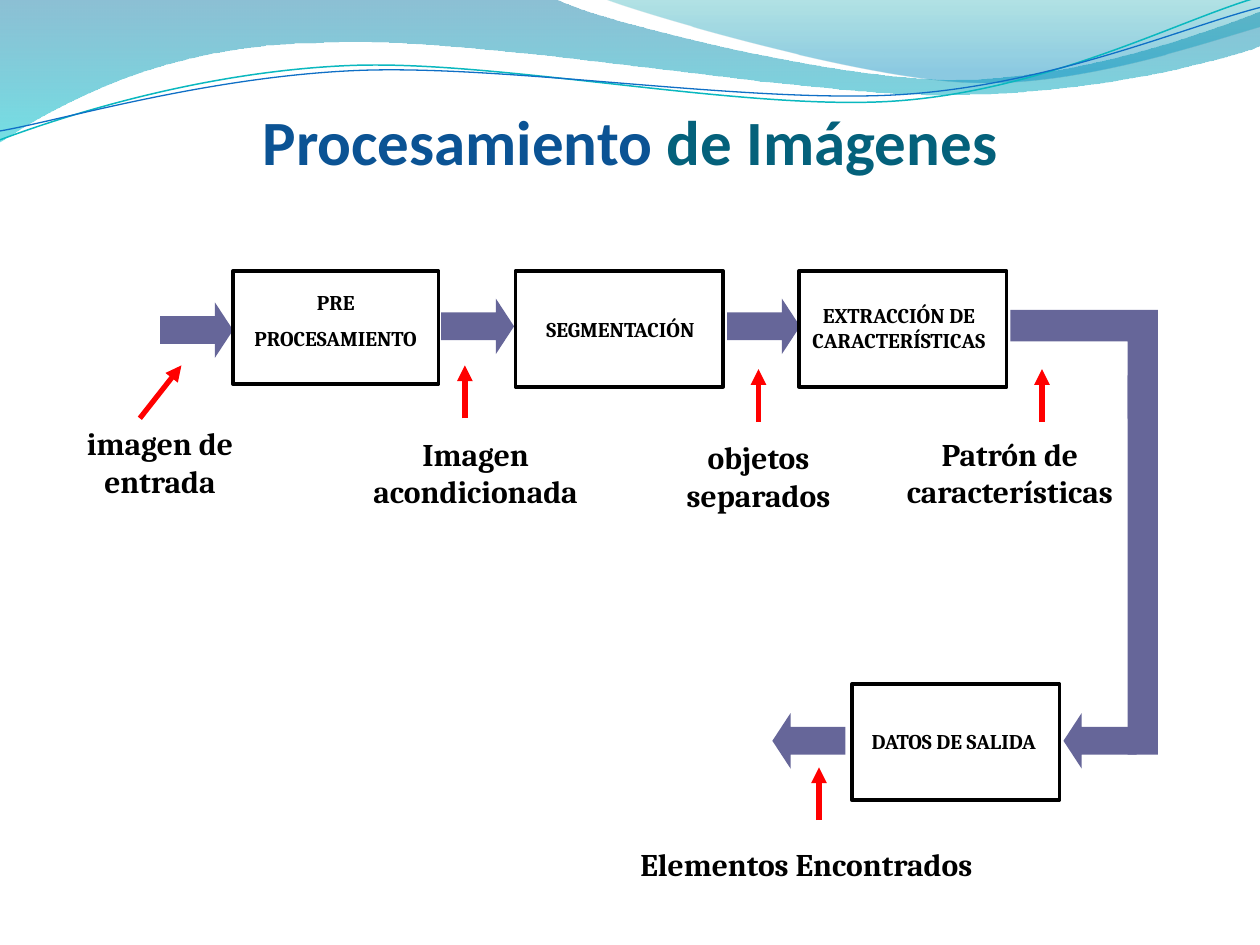
"""Build the image-processing pipeline slide."""
from dataclasses import dataclass
from math import cos, radians, sin

from lxml.etree import SubElement
from pptx import Presentation
from pptx.dml.color import RGBColor
from pptx.enum.shapes import MSO_CONNECTOR as Connector, MSO_SHAPE as Preset
from pptx.enum.text import MSO_ANCHOR as Anchor, PP_ALIGN as Align
from pptx.oxml.ns import qn
from pptx.util import Inches, Pt


@dataclass(frozen=True)
class Theme:
    title_font: str = "Calibri"
    body_font: str = "Cambria"
    title_size: int = 36
    caption_size: int = 18
    stage_size: int = 12
    title_blue: str = "0B5394"
    title_teal: str = "04617B"
    flow: str = "666699"
    pointer: str = "FF0000"
    ink: str = "000000"
    paper: str = "FFFFFF"


theme = Theme()
color = RGBColor.from_string


def add_outline(start, segments, closed):
    """Draw straight (2 numbers) and cubic (6 numbers) segments as one freeform."""
    points = [(s[i], s[i + 1]) for s in segments for i in range(0, len(s), 2)]
    builder = page.shapes.build_freeform(*map(Inches, start))
    builder.add_line_segments([tuple(map(Inches, point)) for point in points], close=closed)
    outline = builder.convert_to_shape()
    outline.shadow.inherit = False
    steps = iter(list(outline.element.iter(qn("a:lnTo"))))
    for segment in segments:
        step = next(steps)
        if len(segment) == 6:
            curve = step.makeelement(qn("a:cubicBezTo"))
            step.addprevious(curve)
            for line in (step, next(steps), next(steps)):
                curve.append(line[0])
                line.getparent().remove(line)
    return outline


def add_label(lines, place, size):
    """Place centred bold text, one paragraph per line."""
    label = page.shapes.add_textbox(*map(Inches, place))
    frame = label.text_frame
    frame.word_wrap = True
    for index, line in enumerate(lines):
        para = frame.add_paragraph() if index else frame.paragraphs[0]
        para.alignment = Align.CENTER
        if index:
            para.space_before = Pt(size / 2)
        span = para.add_run()
        span.text = line
        span.font.name = theme.body_font
        span.font.size = Pt(size)
        span.font.bold = True
        span.font.color.rgb = color(theme.ink)


deck = Presentation()
deck.slide_width, deck.slide_height = Inches(10), Inches(7.5)
page = deck.slides.add_slide(deck.slide_layouts[5])

bands = [
    ((0, -0.01),
     [(4.4, -0.01), (4.76, 0.17, 6.64, 0.63, 7.58, 0.63),
      (8.53, 0.63, 9.58, 0.26, 10, 0.09), (10.01, 0.36),
      (9.83, 0.44, 8.7, 0.76, 7.46, 0.75), (6.22, 0.75, 3.82, 0.28, 2.57, 0.34),
      (1.29, 0.35, 0.46, 0.83, -0.01, 1.13), (0, -0.01)],
     [(0, "0074A1", 45), (1, "00C6CF", 55)]),
    ((4.79, -0.01),
     [(5.09, 0.11, 6.82, 0.62, 7.69, 0.65), (8.56, 0.69, 9.61, 0.32, 10, 0.21),
      (10, 0), (4.79, -0.01)],
     [(0, "00A1A9", 30), (0.8, "008BBF", 45)]),
]
for start, segments, stops in bands:
    band = add_outline(start, segments, True)
    band.line.fill.background()
    band.fill.gradient()
    band.fill.gradient_angle = 270
    for stop, (position, tint, opacity) in zip(band.fill.gradient_stops, stops):
        stop.position = position
        stop.color.rgb = color(tint)
    tints = list(band.element.spPr.iter(qn("a:srgbClr")))
    for tint, (position, name, opacity) in zip(tints, stops):
        SubElement(tint, qn("a:alpha")).set("val", str(opacity * 1000))

tilt = 2.7
turn_cos, turn_sin = cos(radians(tilt)), sin(radians(tilt))
waves = [
    ([0, 1.11, 0.48, 0.93, 1.58, 0.57, 2.77, 0.52, 3.95, 0.47, 5.93, 0.89, 7.13, 0.8,
      8.33, 0.71, 9.38, 0.15, 9.98, -0.02], (4.99, 0.58), "0AB8BF", 0.85),
    ([0, 1.04, 0.47, 0.96, 1.64, 0.61, 2.83, 0.56, 4.03, 0.51, 5.97, 0.83, 7.17, 0.75,
      8.36, 0.67, 9.41, 0.21, 10, 0.06], (5, 0.59), "0F6FC6", 0.75),
]
for numbers, (center_x, center_y), tint, weight in waves:
    level = []
    for x, y in zip(numbers[::2], numbers[1::2]):
        across, down = x - center_x, y - center_y
        level += [center_x + across * turn_cos - down * turn_sin,
                  center_y + across * turn_sin + down * turn_cos]
    wave = add_outline(level[:2], [level[i:i + 6] for i in range(2, len(level), 6)], False)
    wave.rotation = 360 - tilt
    wave.fill.background()
    wave.line.color.rgb = color(tint)
    wave.line.width = Pt(weight)

title = page.shapes.title
page.shapes.element.append(title.element)
title.left, title.top, title.width, title.height = map(Inches, (0.5, 0.77, 9, 0.64))
frame = title.text_frame
frame.vertical_anchor = Anchor.BOTTOM
frame.margin_left = frame.margin_right = frame.margin_bottom = 0
frame.margin_top = Inches(0.05)
para = frame.paragraphs[0]
para.alignment = Align.CENTER
for words, tint in (("Procesamiento", theme.title_blue), (" de Imágenes", theme.title_teal)):
    span = para.add_run()
    span.text = words
    span.font.name = theme.title_font
    span.font.size = Pt(theme.title_size)
    span.font.bold = True
    span.font.color.rgb = color(tint)

flow_arrows = [
    (Preset.RIGHT_ARROW, 3.5, 2.37),
    (Preset.RIGHT_ARROW, 5.77, 2.37),
    (Preset.RIGHT_ARROW, 1.27, 2.4),
    (Preset.LEFT_ARROW, 6.13, 5.66),
    (Preset.LEFT_ARROW, 8.44, 5.66),
]
flow_parts = []
for preset, left, top in flow_arrows:
    arrow = page.shapes.add_shape(preset, *map(Inches, (left, top, 0.58, 0.44)))
    arrow.adjustments[0], arrow.adjustments[1] = 0.5, 0.328
    flow_parts.append(arrow)
flow_parts.append(add_outline(
    (9.07, 3.63),
    [(8.95, 3.32), (8.95, 2.71), (8.02, 2.71), (8.02, 2.46), (9.19, 2.46), (9.19, 3.32)],
    True))
flow_parts.append(page.shapes.add_shape(
    Preset.RECTANGLE, *map(Inches, (8.95, 2.98, 0.24, 3.01))))
for part in flow_parts:
    part.shadow.inherit = False
    part.fill.solid()
    part.fill.fore_color.rgb = color(theme.flow)
    part.line.fill.background()

captions = [
    ("imagen de entrada", (0.52, 3.32, 1.5, 0.7)),
    ("objetos separados", (5.27, 3.43, 1.5, 0.7)),
    ("Patrón de características", (6.92, 3.4, 2.19, 0.7)),
    ("Imagen acondicionada", (2.69, 3.4, 2.17, 0.7)),
    ("Elementos Encontrados", (4.86, 6.66, 3.08, 0.4)),
]
for words, place in captions:
    add_label([words], place, theme.caption_size)

pointers = [(1.11, 3.32, 1.44), (6.02, 3.35, 6.02), (8.27, 3.35, 8.27),
            (3.69, 3.32, 3.69), (6.5, 6.51, 6.5)]
for x, y, tip in pointers:
    pointer = page.shapes.add_connector(
        Connector.STRAIGHT, *map(Inches, (x, y, tip, y - 0.42)))
    pointer.line.color.rgb = color(theme.pointer)
    pointer.line.width = Pt(3)
    stroke = pointer.element.spPr.find(qn("a:ln"))
    SubElement(stroke, qn("a:tailEnd")).set("type", "triangle")
    SubElement(pointer.element.spPr, qn("a:effectLst"))

stages = [
    (["SEGMENTACIÓN"], (4.09, 2.15, 1.65, 0.92), (4.1, 2.46, 1.65, 0.3)),
    (["EXTRACCIÓN DE CARACTERÍSTICAS"], (6.34, 2.15, 1.65, 0.92), (6.26, 2.35, 1.75, 0.51)),
    (["PRE", "PROCESAMIENTO"], (1.85, 2.15, 1.63, 0.9), (1.8, 2.25, 1.73, 0.59)),
    (["DATOS DE SALIDA"], (6.76, 5.43, 1.65, 0.92), (6.65, 5.73, 1.84, 0.3)),
]
for lines, place, label_place in stages:
    box = page.shapes.add_shape(Preset.RECTANGLE, *map(Inches, place))
    box.shadow.inherit = False
    box.fill.solid()
    box.fill.fore_color.rgb = color(theme.paper)
    box.line.color.rgb = color(theme.ink)
    box.line.width = Pt(2)
    add_label(lines, label_place, theme.stage_size)

deck.save("out.pptx")
